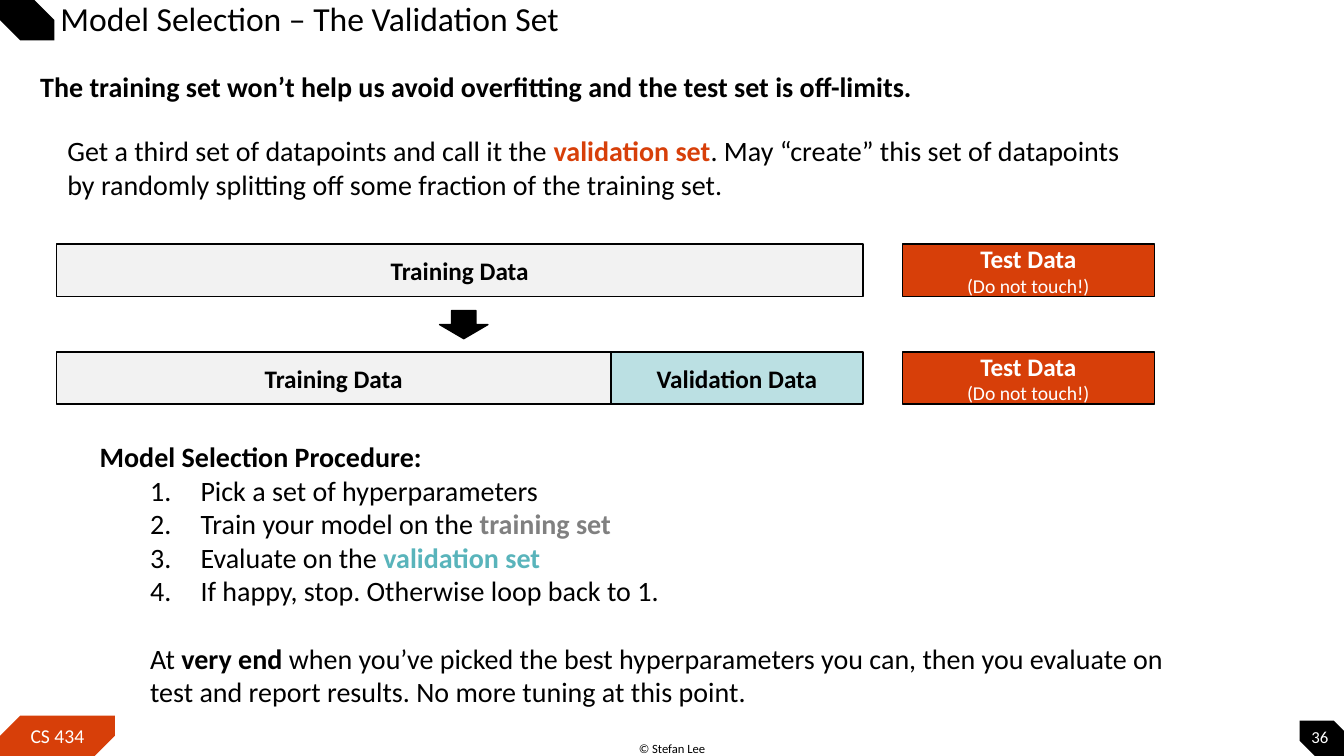
from lxml import etree
from pptx import Presentation
from pptx.dml.color import RGBColor
from pptx.enum.shapes import MSO_SHAPE
from pptx.enum.text import MSO_ANCHOR, PP_ALIGN
from pptx.oxml.ns import qn
from pptx.util import Inches, Pt

SNIPPED = MSO_SHAPE.SNIP_2_DIAG_RECTANGLE
RECTANGLE = MSO_SHAPE.RECTANGLE
DOWN_ARROW = MSO_SHAPE.DOWN_ARROW
MIDDLE = MSO_ANCHOR.MIDDLE
TOP = MSO_ANCHOR.TOP
CENTER = PP_ALIGN.CENTER
LEFT = PP_ALIGN.LEFT

FONT = "Calibri"
BLACK = "000000"
WHITE = "FFFFFF"
ORANGE = "D73F09"
PALE_GRAY = "F2F2F2"
GRAY = "808080"
PALE_TEAL = "BBE0E3"
TEAL = "59B4BB"

STEPS = [
    [("Pick a set of hyperparameters",)],
    [("Train your model on the ",), ("training set", GRAY)],
    [("Evaluate on the ",), ("validation set", TEAL)],
    [("If happy, stop. Otherwise loop back to 1.",)],
]


def color(value):
    return RGBColor.from_string(value)


def set_font(font, size, shade, bold=False):
    font.name = FONT
    font.size = Pt(size)
    font.bold = bold
    font.color.rgb = color(shade)


def write(paragraph, spans, size, shade=BLACK, bold=False, align=LEFT):
    paragraph.alignment = align
    set_font(paragraph.font, size, shade, bold)
    for text, *accent in spans:
        span = paragraph.add_run()
        span.text = text
        if accent:
            span.font.bold = True
            span.font.color.rgb = color(accent[0])


def indent(paragraph, margin, first=0.0):
    properties = paragraph._p.get_or_add_pPr()
    properties.set("marL", str(Inches(margin)))
    properties.set("indent", str(Inches(first)))
    return properties


def add_shape(page, kind, box, fill, line=None):
    shape = page.shapes.add_shape(kind, *map(Inches, box))
    shape.shadow.inherit = False
    shape.fill.solid()
    shape.fill.fore_color.rgb = color(fill)
    if line:
        shape.line.color.rgb = color(line)
        shape.line.width = Pt(1)
    else:
        shape.line.fill.background()
    return shape


def add_corner(page, box, fill, falling):
    corner = add_shape(page, SNIPPED, box, fill)
    corner.adjustments[0] = 0.5 if falling else 0
    corner.adjustments[1] = 0 if falling else 0.5
    return corner


def add_frame(page, box, anchor=TOP):
    frame = page.shapes.add_textbox(*map(Inches, box)).text_frame
    frame.word_wrap = True
    frame.vertical_anchor = anchor
    return frame


def add_statement(page, box, spans, bold=False):
    write(add_frame(page, box).paragraphs[0], spans, 20, bold=bold)


def add_title(page, box, text):
    title = page.shapes.title
    title.left, title.top, title.width, title.height = map(Inches, box)
    frame = title.text_frame
    frame.vertical_anchor = MIDDLE
    frame.margin_left = Inches(0.6)
    frame.margin_top = frame.margin_right = frame.margin_bottom = Inches(0.05)
    paragraph = frame.paragraphs[0]
    paragraph.line_spacing = 0.9
    write(paragraph, [(text,)], 24)


def add_decoration(page, width, height):
    add_corner(page, (width - 0.44, height - 0.35, 0.54, 0.4), BLACK, False)
    course = add_corner(page, (0, height - 0.4, 1.14, 0.4), ORANGE, True)
    course.text_frame.vertical_anchor = MIDDLE
    write(course.text_frame.paragraphs[0], [("CS 434",)], 14, WHITE, align=CENTER)
    add_corner(page, (0, 0, 0.54, 0.4), BLACK, False)

    credit = add_frame(page, (6.13, height - 0.2, 1.07, 0.25))
    write(credit.paragraphs[0], [("© Stefan Lee",)], 9, align=CENTER)

    number = add_frame(page, (width - 0.44, height - 0.35, 0.4, 0.31), MIDDLE)
    number.margin_left = number.margin_right = 0
    number.margin_top = number.margin_bottom = 0
    write(number.paragraphs[0], [("36",)], 12, WHITE, align=CENTER)


def add_block(page, box, label, fill, shade=BLACK, note=None):
    frame = add_shape(page, RECTANGLE, box, fill, BLACK).text_frame
    frame.word_wrap = True
    frame.vertical_anchor = MIDDLE
    write(frame.paragraphs[0], [(label,)], 18, shade, True, CENTER)
    if note:
        write(frame.add_paragraph(), [(note,)], 14, shade, align=CENTER)


def add_data_split(page, box):
    left, top, width, height = box
    bar, part, gap = 0.52, 2.5, 0.39
    whole = width - part - gap
    lower = top + height - bar
    add_block(page, (left, lower, whole - part, bar), "Training Data", PALE_GRAY)
    add_block(page, (left + whole - part, lower, part, bar), "Validation Data", PALE_TEAL)
    add_block(page, (left, top, whole, bar), "Training Data", PALE_GRAY)
    for row in (top, lower):
        add_block(page, (left + whole + gap, row, part, bar), "Test Data",
                  ORANGE, WHITE, "(Do not touch!)")
    arrow = (left + whole / 2 - 0.2, top + 0.66, 0.48, 0.28)
    add_shape(page, DOWN_ARROW, arrow, BLACK, BLACK)


def add_procedure(page, box):
    frame = add_frame(page, box)
    write(frame.paragraphs[0], [("Model Selection Procedure:",)], 20, bold=True)
    for step in STEPS:
        paragraph = frame.add_paragraph()
        properties = indent(paragraph, 1, -0.5)
        etree.SubElement(properties, qn("a:buFont"), typeface="+mj-lt")
        etree.SubElement(properties, qn("a:buAutoNum"), type="arabicPeriod")
        write(paragraph, step, 20)
    ending = frame.add_paragraph()
    indent(ending, 0.5)
    ending.space_before = Pt(24)
    write(ending, [
        ("At ",),
        ("very end ", BLACK),
        ("when you’ve picked the best hyperparameters you can, then you evaluate "
         "on test and report results. No more tuning at this point.",),
    ], 20)


def build_page(deck):
    page = deck.slides.add_slide(deck.slide_layouts[5])
    add_decoration(page, 13.33, 7.5)
    add_title(page, (0, 0.01, 11.32, 0.39), "Model Selection – The Validation Set")
    add_statement(page, (0.3, 0.64, 10.75, 0.44), [
        ("The training set won’t help us avoid overfitting and the test set is off-limits.",),
    ], bold=True)
    add_statement(page, (0.57, 1.28, 10.75, 0.77), [
        ("Get a third set of datapoints and call it the ",),
        ("validation set", ORANGE),
        (". May “create” this set of datapoints by randomly splitting off some "
         "fraction of the training set.",),
    ])
    add_procedure(page, (0.89, 4.31, 10.75, 2.79))
    add_data_split(page, (0.56, 2.42, 10.89, 1.59))


def main():
    deck = Presentation()
    deck.slide_width = Inches(13.33)
    deck.slide_height = Inches(7.5)
    build_page(deck)
    deck.save("out.pptx")


if __name__ == "__main__":
    main()
